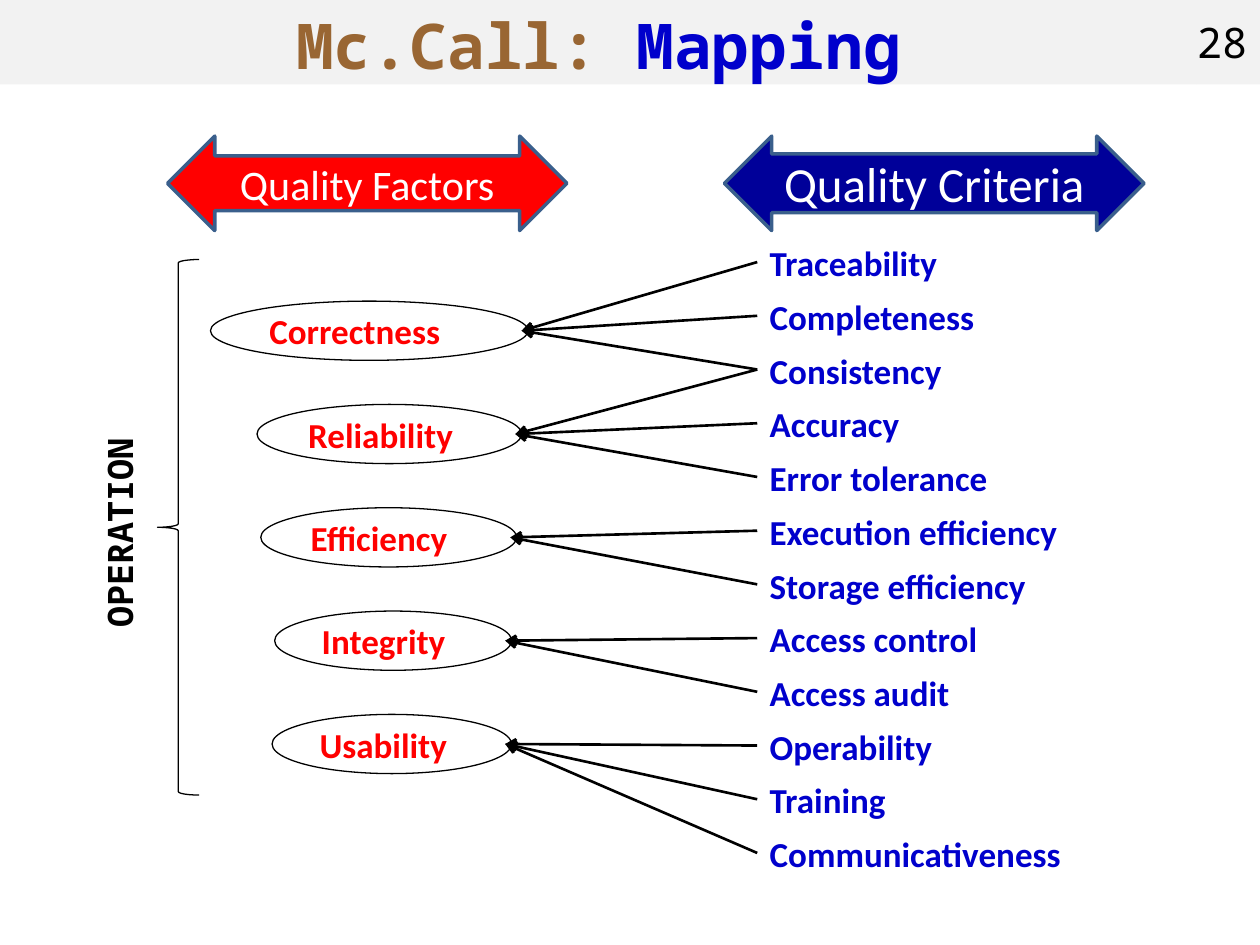
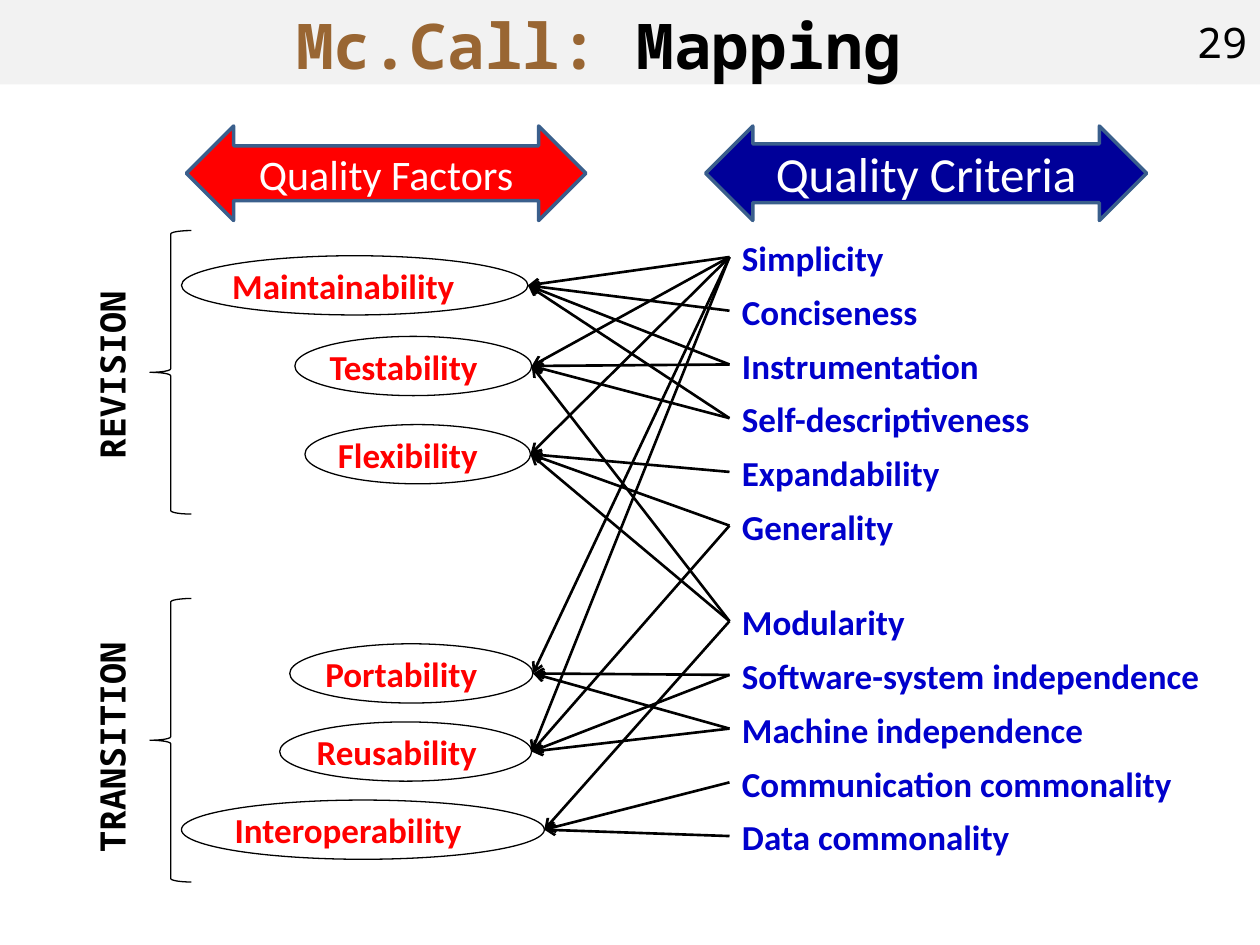
from dataclasses import dataclass
from lxml.etree import SubElement
from pptx import Presentation
from pptx.dml.color import RGBColor
from pptx.enum.shapes import MSO_CONNECTOR, MSO_SHAPE
from pptx.enum.text import MSO_ANCHOR, MSO_AUTO_SIZE, PP_ALIGN
from pptx.oxml.ns import qn
from pptx.util import Inches, Pt


@dataclass(frozen=True)
class Theme:
    """Colours, fonts and type sizes of the deck."""
    band: str = "F2F2F2"
    brown: str = "996633"
    blue: str = "0000CC"
    navy: str = "000099"
    red: str = "FF0000"
    edge: str = "3A5F8C"
    black: str = "000000"
    white: str = "FFFFFF"
    sans: str = "Calibri"
    mono: str = "Noto Sans Mono"
    title: int = 36
    large: int = 28
    head: int = 24
    body: int = 20


THEME = Theme()
STEP = 4.69 / 11  # pitch of the criteria rows
ROW = 0.44        # height of a text row
OVAL = 0.47       # height of a factor oval


def apply(obj, form):
    """Set each attribute in a dict of format values."""
    for name, value in form.items():
        setattr(obj, name, value)


def inset(x, y):
    """Give text frame margins, in inches."""
    return {"margin_left": Inches(x), "margin_right": Inches(x),
            "margin_top": Inches(y), "margin_bottom": Inches(y)}


def write(shape, runs, size, font, bold=False, align=PP_ALIGN.LEFT, **frame):
    """Fill a shape with one paragraph of (text, colour) runs."""
    form = {"word_wrap": True, "vertical_anchor": MSO_ANCHOR.TOP}
    apply(shape.text_frame, form | frame)
    para = shape.text_frame.paragraphs[0]
    para.alignment = align
    for text, color in runs:
        run = para.add_run()
        run.text = text
        apply(run.font, {"size": Pt(size), "name": font, "bold": bold})
        run.font.color.rgb = RGBColor.from_string(color)


def draw(slide, kind, box, fill=None, line=None, width=0.75):
    """Add a preset shape in a box of inches."""
    shape = slide.shapes.add_shape(kind, *map(Inches, box))
    shape.shadow.inherit = False
    if fill:
        shape.fill.solid()
        shape.fill.fore_color.rgb = RGBColor.from_string(fill)
    else:
        shape.fill.background()
    if line:
        shape.line.color.rgb = RGBColor.from_string(line)
        shape.line.width = Pt(width)
    else:
        shape.line.fill.background()
    return shape


def label(slide, box, text, color, font):
    """Add a bold text box that fits its text."""
    area = slide.shapes.add_textbox(*map(Inches, box))
    write(area, [(text, color)], THEME.body, font, True,
          auto_size=MSO_AUTO_SIZE.SHAPE_TO_FIT_TEXT)
    return area


def header(slide, number, color, box=(0, 0, 10, 0.67)):
    """Draw the title band and the page number at its right end."""
    x, y, wide, high = box
    page = 0.5
    band = draw(slide, MSO_SHAPE.RECTANGLE, (x, y, wide - page, high), THEME.band)
    write(band, [("Mc.Call: ", THEME.brown), ("Mapping", color)],
          THEME.title, THEME.mono, True, PP_ALIGN.CENTER)
    cell = draw(slide, MSO_SHAPE.RECTANGLE, (x + wide - page, y, page, high),
                THEME.band)
    write(cell, [(str(number), THEME.black)], THEME.head, THEME.mono,
          vertical_anchor=MSO_ANCHOR.MIDDLE, **inset(0, 0.05))


def banner(slide, box, text, fill, size, shaft):
    """Draw a two-headed block arrow with a column heading."""
    arrow = draw(slide, MSO_SHAPE.LEFT_RIGHT_ARROW, box, fill, THEME.edge, 2)
    arrow.adjustments[0] = shaft
    arrow.adjustments[1] = 0.5
    write(arrow, [(text, THEME.white)], size, THEME.sans, align=PP_ALIGN.CENTER,
          vertical_anchor=MSO_ANCHOR.MIDDLE)


def heads(slide, top, left, right, wide):
    """Draw both column headings."""
    banner(slide, (left, top, 3.17, 0.75), "Quality Factors",
           THEME.red, THEME.head, 0.58)
    banner(slide, (right, top, wide, 0.75), "Quality Criteria",
           THEME.navy, THEME.large, 0.62)


def stage(slide, box, text, center, wide):
    """Draw a brace in a box and an upright label beside it."""
    draw(slide, MSO_SHAPE.LEFT_BRACE, box, line=THEME.black)
    mid = box[0] - 0.3
    area = label(slide, (mid - wide / 2, center - ROW / 2, wide, ROW),
                 text, THEME.black, THEME.mono)
    area.rotation = 270


def criteria(slide, left, top, rows):
    """List criteria down a column; return where their links start."""
    ports = {}
    for i, (text, wide) in enumerate(rows):
        y = top + i * STEP
        label(slide, (left, y, wide, ROW), text, THEME.blue, THEME.sans)
        ports[text] = (left, y + 0.21)
    return ports


def factors(slide, rows, pad, gap):
    """Draw factor ovals; return where the links to them end."""
    ports = {}
    for text, left, top, wide in rows:
        oval = draw(slide, MSO_SHAPE.OVAL, (left, top, wide, OVAL),
                    line=THEME.black)
        write(oval, [(text, THEME.red)], THEME.body, THEME.sans, True,
              **inset(pad, 0))
        ports[text] = (left + wide - gap, top + OVAL / 2)
    return ports


def links(slide, starts, ends, pairs):
    """Draw an arrow to each factor from each of its criteria."""
    for factor, names in pairs.items():
        for name in names:
            line = slide.shapes.add_connector(
                MSO_CONNECTOR.STRAIGHT,
                *map(Inches, starts[name] + ends[factor]))
            line.line.color.rgb = RGBColor.from_string(THEME.black)
            line.line.width = Pt(1.5)
            SubElement(line.line._get_or_add_ln(), qn("a:tailEnd"), type="arrow")
            SubElement(line._element.spPr, qn("a:effectLst"))


def operation(slide):
    """Build the map of the operation factors."""
    header(slide, 28, THEME.blue)
    starts = criteria(slide, 6.01, 1.87, [
        ("Traceability", 1.73), ("Completeness", 2.07), ("Consistency", 1.78),
        ("Accuracy", 1.42), ("Error tolerance", 2.24),
        ("Execution efficiency", 2.8), ("Storage efficiency", 2.52),
        ("Access control", 2.12), ("Access audit", 1.84),
        ("Operability", 1.69), ("Training", 1.27), ("Communicativeness", 2.85)])
    ovals = [("Correctness", 1.67, 2.52), ("Reliability", 2.04, 2.1),
             ("Efficiency", 2.07, 2.03), ("Integrity", 2.18, 1.88),
             ("Usability", 2.16, 1.9)]
    ends = factors(slide, [(text, left, 2.39 + 0.82 * i, wide)
                           for i, (text, left, wide) in enumerate(ovals)],
                   0.1, 0.05)
    links(slide, starts, ends, {
        "Correctness": ["Traceability", "Completeness", "Consistency"],
        "Reliability": ["Consistency", "Accuracy", "Error tolerance"],
        "Efficiency": ["Execution efficiency", "Storage efficiency"],
        "Integrity": ["Access control", "Access audit"],
        "Usability": ["Operability", "Training", "Communicativeness"]})
    stage(slide, (1.25, 2.06, 0.33, 4.25), "OPERATION", 4.15, 1.86)
    heads(slide, 1.08, 1.33, 5.75, 3.33)


def revision(slide):
    """Build the map of the revision and transition factors."""
    header(slide, 29, THEME.black)
    starts = criteria(slide, 5.79, 1.83, [
        ("Simplicity", 1.5), ("Conciseness", 1.79), ("Instrumentation", 2.35),
        ("Self-descriptiveness", 2.76), ("Expandability", 1.97),
        ("Generality", 1.59)])
    starts |= criteria(slide, 5.79, 4.72, [
        ("Modularity", 1.63), ("Software-system independence", 3.96),
        ("Machine independence", 3.18), ("Communication commonality", 4.13),
        ("Data commonality", 2.65)])
    ends = factors(slide, [
        ("Maintainability", 1.44, 2.03, 2.75), ("Testability", 2.34, 2.67, 1.88),
        ("Flexibility", 2.42, 3.37, 1.79), ("Portability", 2.3, 5.11, 1.93),
        ("Reusability", 2.22, 5.73, 2), ("Interoperability", 1.44, 6.35, 2.88)],
        0, 0)
    links(slide, starts, ends, {
        "Maintainability": ["Simplicity", "Conciseness", "Instrumentation",
                            "Self-descriptiveness"],
        "Testability": ["Simplicity", "Instrumentation",
                        "Self-descriptiveness", "Modularity"],
        "Flexibility": ["Simplicity", "Expandability", "Generality",
                        "Modularity"],
        "Portability": ["Simplicity", "Software-system independence",
                        "Machine independence"],
        "Reusability": ["Simplicity", "Generality",
                        "Software-system independence",
                        "Machine independence"],
        "Interoperability": ["Modularity", "Communication commonality",
                             "Data commonality"]})
    stage(slide, (1.19, 1.83, 0.33, 2.25), "REVISION", 2.97, 1.55)
    stage(slide, (1.19, 4.75, 0.33, 2.25), "TRANSITION", 5.91, 1.91)
    heads(slide, 1, 1.48, 5.6, 3.5)


def main():
    """Build and save the deck."""
    deck = Presentation()
    apply(deck, {"slide_width": Inches(10), "slide_height": Inches(7.5)})
    for build in (operation, revision):
        build(deck.slides.add_slide(deck.slide_layouts[6]))
    deck.save("out.pptx")


main()
